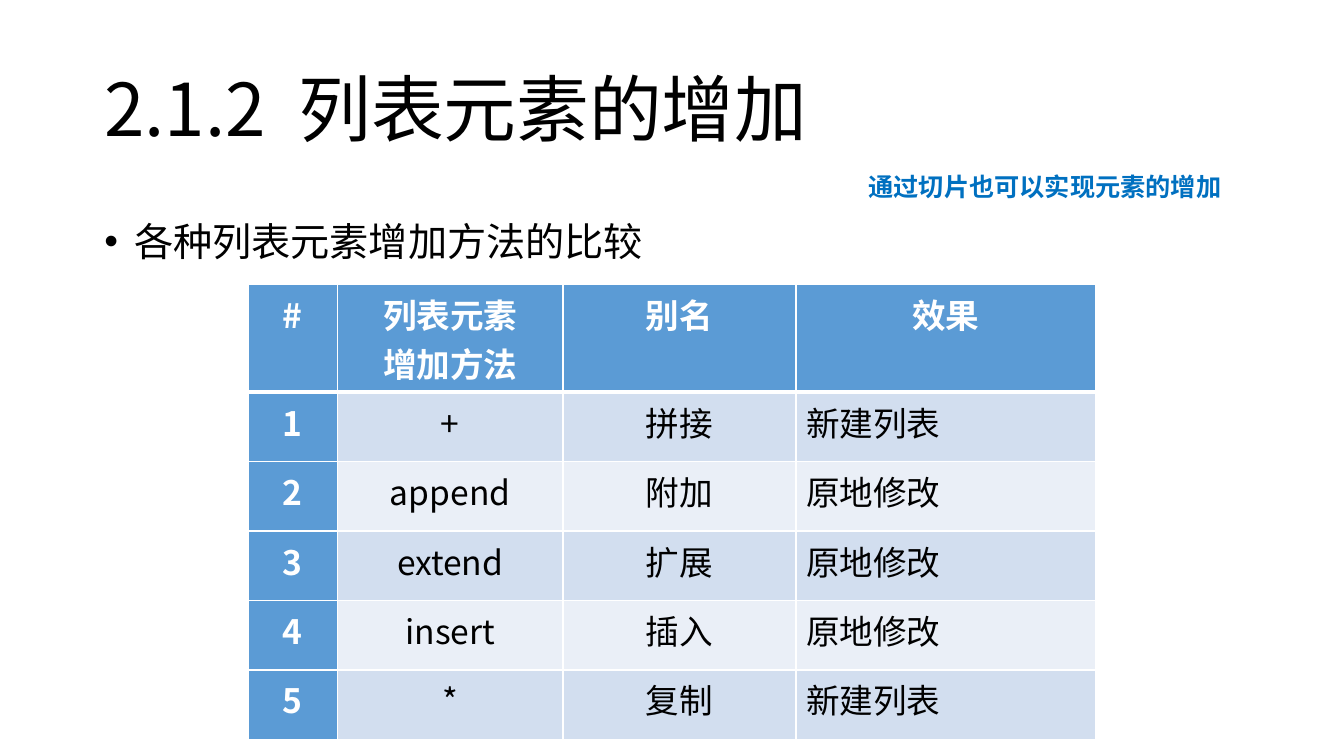
from lxml import etree
from pptx import Presentation
from pptx.dml.color import RGBColor
from pptx.enum.text import MSO_ANCHOR, MSO_AUTO_SIZE, PP_ALIGN
from pptx.oxml.ns import qn
from pptx.util import Cm, Pt

LEFT, CENTER = PP_ALIGN.LEFT, PP_ALIGN.CENTER
TOP, MIDDLE = MSO_ANCHOR.TOP, MSO_ANCHOR.MIDDLE
NO_FIT = MSO_AUTO_SIZE.NONE

# Content
HEADING = "2.1.2  列表元素的增加"
TOPIC = "各种列表元素增加方法的比较"
SLICE_NOTE = "通过切片也可以实现元素的增加"
METHODS = [
    ("#", "列表元素\n增加方法", "别名", "效果"),
    ("1", "+", "拼接", "新建列表"),
    ("2", "append", "附加", "原地修改"),
    ("3", "extend", "扩展", "原地修改"),
    ("4", "insert", "插入", "原地修改"),
    ("5", "*", "复制", "新建列表"),
]

# Style
COLORS = {"text": "000000", "note": "0070C0", "header": "5B9BD5", "white": "FFFFFF",
          "odd": "D2DEEF", "even": "EAEFF7"}
CJK_FONT = "Noto Sans CJK SC"
COLUMN_WIDTHS = [Cm(w) for w in (2.24, 5.69, 5.87, 7.54)]
ROW_HEIGHTS = [Cm(2.13)] + [Cm(1.75)] * (len(METHODS) - 1)
THIN, THICK = Pt(1), Pt(3)
INSETS = {"margin_left": Cm(0.3), "margin_right": Cm(0.3),
          "margin_top": Cm(0.15), "margin_bottom": Cm(0.15),
          "word_wrap": True, "auto_size": NO_FIT}


def set_all(target, values):
    for attribute, value in values.items():
        setattr(target, attribute, value)


def write(frame, text, size, color="text", bold=False, font=CJK_FONT, **paragraph_format):
    frame.text = text
    for paragraph in frame.paragraphs:
        set_all(paragraph, paragraph_format)
        for run in paragraph.runs:
            set_all(run.font, {"name": font, "size": Pt(size), "bold": bold})
            run.font.color.rgb = RGBColor.from_string(COLORS[color])
            east_asian = etree.Element(qn("a:ea"), typeface=CJK_FONT)
            run.font._element.find(qn("a:latin")).addnext(east_asian)


def place(shape, left, top, width, height):
    set_all(shape, {"left": Cm(left), "top": Cm(top),
                    "width": Cm(width), "height": Cm(height)})


def add_borders(cell, widths):
    properties = cell._tc.get_or_add_tcPr()
    for index, (side, width) in enumerate(widths.items()):
        line = etree.Element(qn(f"a:ln{side}"), w=str(width))
        fill = etree.SubElement(line, qn("a:solidFill"))
        etree.SubElement(fill, qn("a:srgbClr"), val=COLORS["white"])
        properties.insert(index, line)


deck = Presentation()
set_all(deck, {"slide_width": Cm(33.87), "slide_height": Cm(19.05)})
slide = deck.slides.add_slide(deck.slide_layouts[1])

# Title and bullet
title, body = slide.placeholders
place(title, 2.33, 1.01, 29.21, 3.68)
set_all(title.text_frame, {**INSETS, "vertical_anchor": MIDDLE})
write(title.text_frame, HEADING, 52, alignment=LEFT, line_spacing=0.9)

place(body, 2.33, 5.08, 29.21, 12.09)
set_all(body.text_frame, {**INSETS, "vertical_anchor": TOP})
write(body.text_frame, TOPIC, 28, alignment=LEFT, line_spacing=1.2, space_before=Pt(12))
bullet_format = body.text_frame.paragraphs[0]._p.get_or_add_pPr()
bullet_format.set("marL", str(Cm(0.75)))
bullet_format.set("indent", str(-Cm(0.75)))
etree.SubElement(bullet_format, qn("a:buFont"), typeface="Arial")
etree.SubElement(bullet_format, qn("a:buChar"), char="•")

# Comparison table
comparison = slide.shapes.add_table(
    len(METHODS), len(COLUMN_WIDTHS), Cm(6.26), Cm(7.17),
    sum(COLUMN_WIDTHS), sum(ROW_HEIGHTS)).table
for column, width in zip(comparison.columns, COLUMN_WIDTHS):
    column.width = width
for row, height in zip(comparison.rows, ROW_HEIGHTS):
    row.height = height

for r, method in enumerate(METHODS):
    for c, text in enumerate(method):
        cell = comparison.cell(r, c)
        is_header = r == 0 or c == 0
        band = "header" if is_header else "odd" if r % 2 else "even"
        cell.fill.solid()
        cell.fill.fore_color.rgb = RGBColor.from_string(COLORS[band])
        is_effect = r > 0 and c == len(method) - 1
        write(cell.text_frame, text, 24, "white" if is_header else "text", is_header,
              alignment=LEFT if is_effect else CENTER)
        add_borders(cell, {"L": THIN, "R": THIN,
                           "T": THICK if r == 1 else THIN,
                           "B": THICK if r == 0 else THIN})

# Note on slicing
slice_note = slide.shapes.add_textbox(Cm(21.64), Cm(4.19), Cm(9.58), Cm(1.02))
slice_note.text_frame.word_wrap = True
write(slice_note.text_frame, SLICE_NOTE, 18, "note", True, "Arial")

deck.save("out.pptx")
